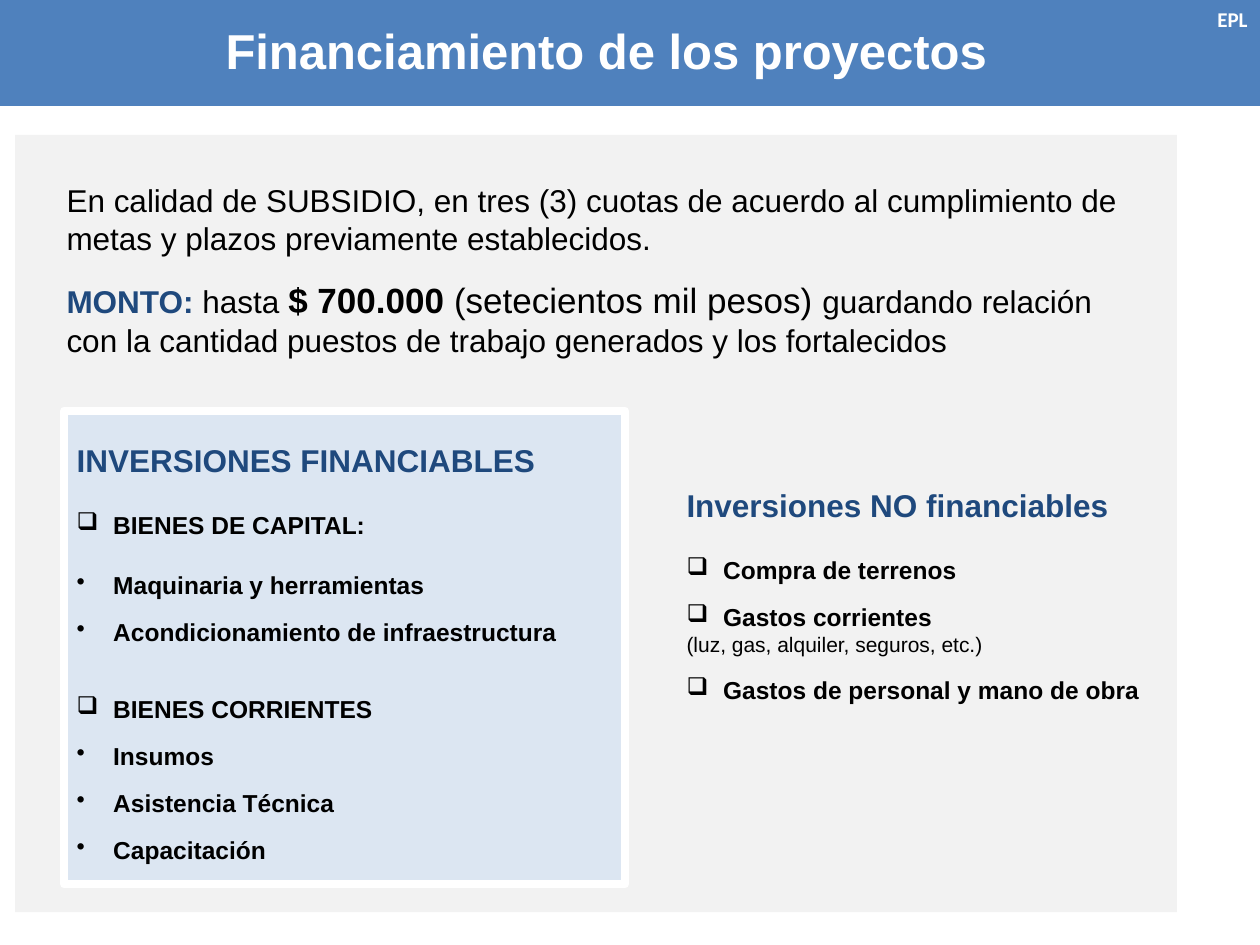
from lxml.etree import SubElement
from pptx import Presentation
from pptx.dml.color import RGBColor
from pptx.enum.shapes import MSO_SHAPE
from pptx.enum.text import MSO_ANCHOR, PP_ALIGN
from pptx.oxml.ns import qn
from pptx.util import Inches, Pt

BLUE = RGBColor(0x4F, 0x81, 0xBD)
NAVY = RGBColor(0x1F, 0x49, 0x7D)
PALE = RGBColor(0xDC, 0xE6, 0xF2)
GRAY = RGBColor(0xF2, 0xF2, 0xF2)
WHITE = RGBColor(0xFF, 0xFF, 0xFF)
BLACK = RGBColor(0, 0, 0)
BOX = "❑"
DOT = "•"


class Deck:
    """Holds the style and the current slide."""

    def __init__(self):
        self.file = Presentation()
        self.file.slide_width = Inches(10)
        self.file.slide_height = Inches(7.5)
        self.slide = self.file.slides.add_slide(self.file.slide_layouts[5])
        self.face = "Arial"
        self.indent = Inches(0.29)

    def place(self, shape, left, top, width, height):
        shape.left, shape.top = Inches(left), Inches(top)
        shape.width, shape.height = Inches(width), Inches(height)

    def font(self, font, size, color, bold, face=None):
        font.name = face or self.face
        font.size = Pt(size)
        font.color.rgb = color
        font.bold = bold

    def panel(self, area, fill, edge=None):
        shape = self.slide.shapes.add_shape(MSO_SHAPE.RECTANGLE, *map(Inches, area))
        shape.shadow.inherit = False
        shape.fill.solid()
        shape.fill.fore_color.rgb = fill
        if edge:
            shape.line.color.rgb = edge
            shape.line.width = Pt(4.5)
        else:
            shape.line.fill.background()
        return shape

    def title(self, area, text):
        shape = self.slide.shapes.title
        self.place(shape, *area)
        shape.element.getparent().append(shape.element)
        frame = shape.text_frame
        frame.text = text
        frame.vertical_anchor = MSO_ANCHOR.TOP
        para = frame.paragraphs[0]
        para.alignment = PP_ALIGN.LEFT
        self.font(para.font, 28, WHITE, True)

    def text(self, area, wrap=True):
        frame = self.slide.shapes.add_textbox(*map(Inches, area)).text_frame
        frame.word_wrap = wrap
        return frame

    def para(self, frame, text, size=14, color=BLACK, bold=True, gap=0, mark=None, face=None):
        first = frame.paragraphs[0]
        para = frame.add_paragraph() if first.runs else first
        para.alignment = PP_ALIGN.LEFT
        if mark:
            props = para._p.get_or_add_pPr()
            props.set("marL", str(self.indent))
            props.set("indent", str(-self.indent))
            SubElement(props, qn("a:buChar"), char=mark)
        para.space_before = Pt(gap)
        self.font(para.font, size, color, bold, face)
        if text:
            para.add_run().text = text
        return para

    def items(self, frame, rows):
        for mark, gap, text in rows:
            self.para(frame, text, gap=gap, mark=mark)


def main():
    deck = Deck()
    deck.panel((0.12, 1.07, 9.22, 6.17), GRAY)

    intro = deck.text((0.43, 1.39, 8.57, 1.5))
    deck.para(intro, "En calidad de SUBSIDIO, en tres (3) cuotas de acuerdo al cumplimiento de "
              "metas y plazos previamente establecidos.", 18, bold=False)
    sum_line = deck.para(intro, "", 18, bold=False, gap=12.5)
    for text, size, color, bold in (
        ("MONTO: ", 18, NAVY, True),
        ("hasta ", 18, BLACK, False),
        ("$ 700.000 ", 20, BLACK, True),
        ("(setecientos mil pesos) ", 20, BLACK, False),
        ("guardando relación con la cantidad puestos de trabajo generados y los fortalecidos",
         18, BLACK, False),
    ):
        run = sum_line.add_run()
        run.text = text
        deck.font(run.font, size, color, bold)

    funded = deck.panel((0.51, 3.26, 4.45, 3.76), PALE, WHITE).text_frame
    funded.word_wrap = True
    funded.vertical_anchor = MSO_ANCHOR.TOP
    funded.margin_top = Inches(0.24)
    deck.para(funded, "INVERSIONES FINANCIABLES", 18, NAVY)
    deck.items(funded, (
        (BOX, 18, "BIENES DE CAPITAL:"),
        (DOT, 17.5, "Maquinaria y herramientas"),
        (DOT, 10, "Acondicionamiento de infraestructura"),
        (BOX, 27, "BIENES CORRIENTES"),
        (DOT, 10, "Insumos"),
        (DOT, 10, "Asistencia Técnica"),
        (DOT, 10, "Capacitación"),
    ))

    barred = deck.text((5.35, 3.81, 3.91, 2.26))
    deck.para(barred, "Inversiones NO financiables", 18, NAVY)
    deck.items(barred, ((BOX, 18, "Compra de terrenos"), (BOX, 10, "Gastos corrientes")))
    deck.para(barred, "(luz, gas, alquiler, seguros, etc.)", 12, bold=False)
    deck.items(barred, ((BOX, 10, "Gastos de personal y mano de obra"),))

    deck.panel((0, 0, 10, 0.84), BLUE)
    deck.title((1.69, 0.11, 6.46, 0.57), "Financiamiento de los proyectos")
    tag = deck.text((9.55, 0, 0.45, 0.3), wrap=False)
    deck.para(tag, "EPL", 12, WHITE, face="Calibri").alignment = PP_ALIGN.RIGHT

    deck.file.save("out.pptx")


if __name__ == "__main__":
    main()
